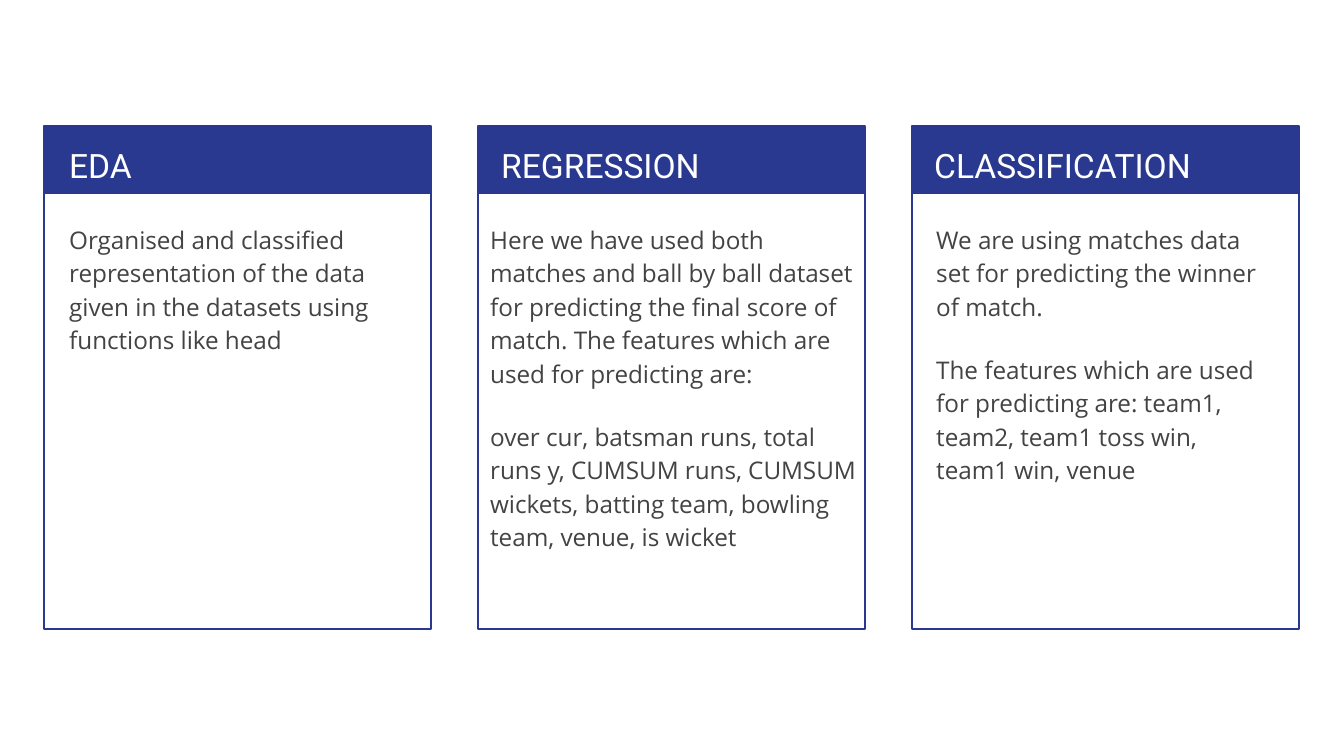
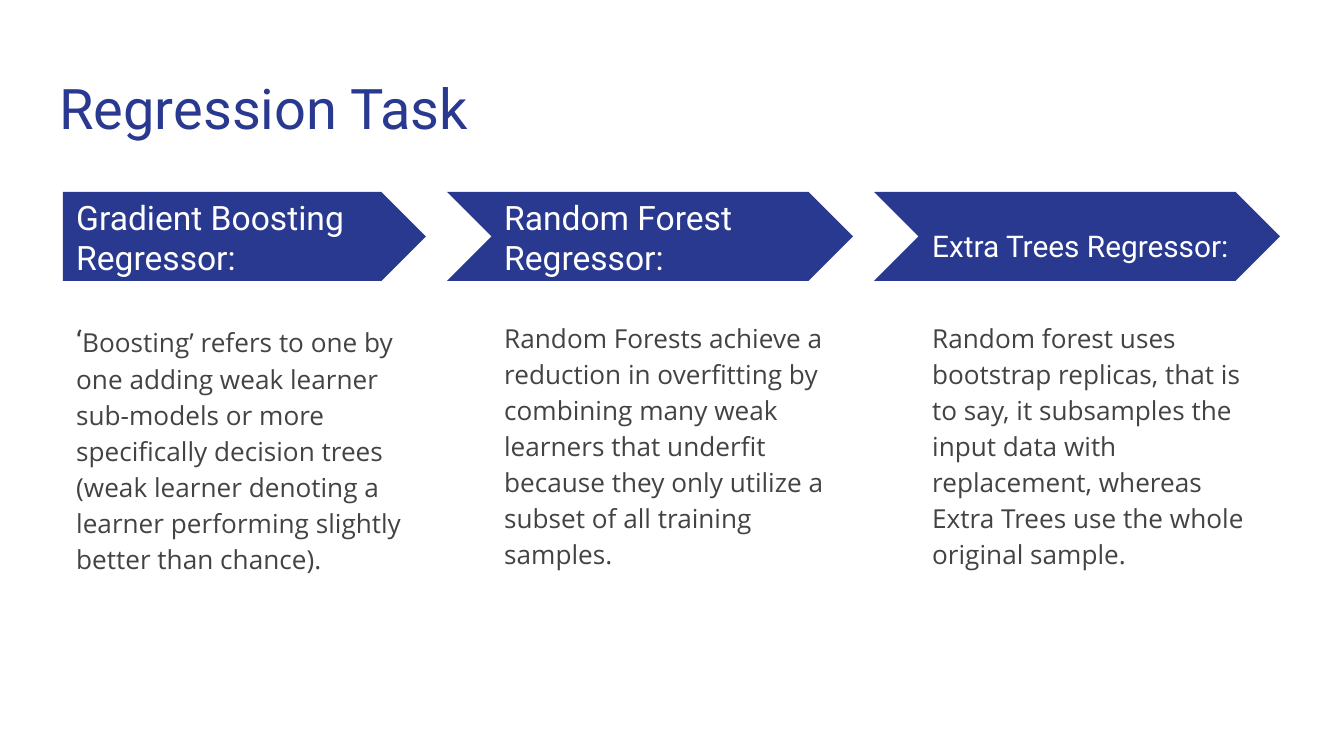
from pptx import Presentation
from pptx import util as u
from pptx.dml.color import RGBColor
from pptx.enum import shapes, text

SCALE = 914400 / 134.4
COLORS = {"blue": "2A3990", "white": "FFFFFF", "grey": "434343"}
TITLE = {"size": 30, "name": "Roboto", "color": "blue"}
HEADING = {"size": 18, "name": "Roboto", "color": "white"}
SMALL_HEADING = {**HEADING, "size": 16}
CARD_BODY = {"size": 13, "name": "Open Sans", "color": "grey"}
STEP_BODY = {**CARD_BODY, "size": 14}
QUOTE = {"size": 16, "name": "Roboto", "color": "grey"}
TOP, MIDDLE = text.MSO_ANCHOR.TOP, text.MSO_ANCHOR.MIDDLE
SHAPE = shapes.MSO_SHAPE

CARDS = [
    {"heading": "EDA", "heading_dx": 12, "body_dx": 12, "body_w": 364, "body": [
        "Organised and classified representation of the data given in the "
        "datasets using functions like head"]},
    {"heading": "REGRESSION", "heading_dx": 10, "body_dx": -1, "body_w": 398, "body": [
        "Here we have used both matches and ball by ball dataset for predicting "
        "the final score of match. The features which are used for predicting are:",
        "over cur, batsman runs, total runs y, CUMSUM runs, CUMSUM wickets, "
        "batting team, bowling team, venue, is wicket"]},
    {"heading": "CLASSIFICATION", "heading_dx": 9, "body_dx": 11, "body_w": 364, "body": [
        "We are using matches data set for predicting the winner of match.",
        "The features which are used for predicting are: team1, team2, team1 "
        "toss win, team1 win, venue"]},
]
STEPS = [
    {"arrow": SHAPE.PENTAGON, "arrow_w": 363, "heading": "Gradient Boosting Regressor:",
     "style": HEADING, "heading_dy": 22, "body": [
         ("‘", QUOTE),
         ("Boosting’ refers to one by one adding weak learner sub-models or more "
          "specifically decision trees (weak learner denoting a learner performing "
          "slightly better than chance).", STEP_BODY)]},
    {"arrow": SHAPE.CHEVRON, "arrow_w": 406, "heading": "Random Forest Regressor:",
     "style": HEADING, "heading_dy": 22, "body": [
         ("Random Forests achieve a reduction in overfitting by combining many weak "
          "learners that underfit because they only utilize a subset of all training "
          "samples.", STEP_BODY)]},
    {"arrow": SHAPE.CHEVRON, "arrow_w": 406, "heading": "Extra Trees Regressor:",
     "style": SMALL_HEADING, "heading_dy": 31, "body": [
         ("Random forest uses bootstrap replicas, that is to say, it subsamples the "
          "input data with replacement, whereas Extra Trees use the whole original "
          "sample.", STEP_BODY)]},
]


def px(n):
    """Turn px into EMU."""
    return u.Emu(round(n * SCALE))


def color(name):
    """Look up a colour by name."""
    return RGBColor.from_string(COLORS[name])


def write(tf, paragraphs, anchor=TOP, **spacing):
    """Fill a text frame with paragraphs, each a list of (words, style) runs."""
    frame = {"word_wrap": True, "auto_size": text.MSO_AUTO_SIZE.NONE, "vertical_anchor": anchor}
    frame.update({f"margin_{side}": u.Inches(0.1) for side in ("left", "top", "right", "bottom")})
    for key, value in frame.items():
        setattr(tf, key, value)
    for i, runs in enumerate(paragraphs):
        p = tf.add_paragraph() if i else tf.paragraphs[0]
        p.alignment = text.PP_ALIGN.LEFT
        for key, value in spacing.items():
            setattr(p, key, value)
        if i:
            p.space_before = u.Pt(16)
        for words, style in runs:
            r = p.add_run()
            r.text = words
            r.font.size, r.font.name = u.Pt(style["size"]), style["name"]
            r.font.color.rgb = color(style["color"])


def add_text(s, box, paragraphs, **options):
    """Add a text box."""
    sp = s.shapes.add_textbox(*map(px, box))
    write(sp.text_frame, paragraphs, **options)


def add_block(s, kind, box, filled=True):
    """Add a blue shape, either filled or outlined."""
    sp = s.shapes.add_shape(kind, *map(px, box))
    sp.shadow.inherit = False
    if filled:
        sp.fill.solid()
        sp.fill.fore_color.rgb = color("blue")
        sp.line.fill.background()
    else:
        sp.fill.background()
        sp.line.color.rgb = color("blue")
        sp.line.width = u.Pt(0.75)


def add_card(s, box, card):
    """Draw an outlined card with a header band and body text."""
    x, y, w, h = box
    add_block(s, SHAPE.RECTANGLE, (x, y, w, 68))
    add_block(s, SHAPE.RECTANGLE, box, filled=False)
    add_text(s, (x + card["heading_dx"], y, 367, 67), [[(card["heading"], HEADING)]],
             line_spacing=1.15)
    add_text(s, (x + card["body_dx"], y + 81, card["body_w"], 411),
             [[(words, CARD_BODY)] for words in card["body"]], line_spacing=1.15)


def add_step(s, box, right, step):
    """Draw an arrow ending at right, with heading and text in the box."""
    x, y, w, h = box
    add_block(s, step["arrow"], (right - step["arrow_w"], y, step["arrow_w"], 89))
    add_text(s, (x, y + step["heading_dy"], 336, 46), [[(step["heading"], step["style"])]],
             anchor=MIDDLE)
    add_text(s, (x, y + 112, w, h - 112), [step["body"]], line_spacing=1.15)


def cards_slide(prs):
    """Build the slide with three cards."""
    s = prs.slides.add_slide(prs.slide_layouts[6])
    for i, card in enumerate(CARDS):
        add_card(s, (44 + 434 * i, 126, 387, 503), card)


def steps_slide(prs):
    """Build the slide with a title and three arrow steps."""
    s = prs.slides.add_slide(prs.slide_layouts[5])
    title = s.shapes.title
    title.left, title.top, title.width, title.height = map(px, (46, 60, 1253, 89))
    write(title.text_frame, [[("Regression Task", TITLE)]])
    for i, step in enumerate(STEPS):
        add_step(s, (63 + 428 * i, 192, 363, 502), 426 + 427 * i, step)


def main():
    """Build and save the presentation."""
    prs = Presentation()
    prs.slide_width, prs.slide_height = px(1344), px(756)
    cards_slide(prs)
    steps_slide(prs)
    prs.save("out.pptx")


if __name__ == "__main__":
    main()
